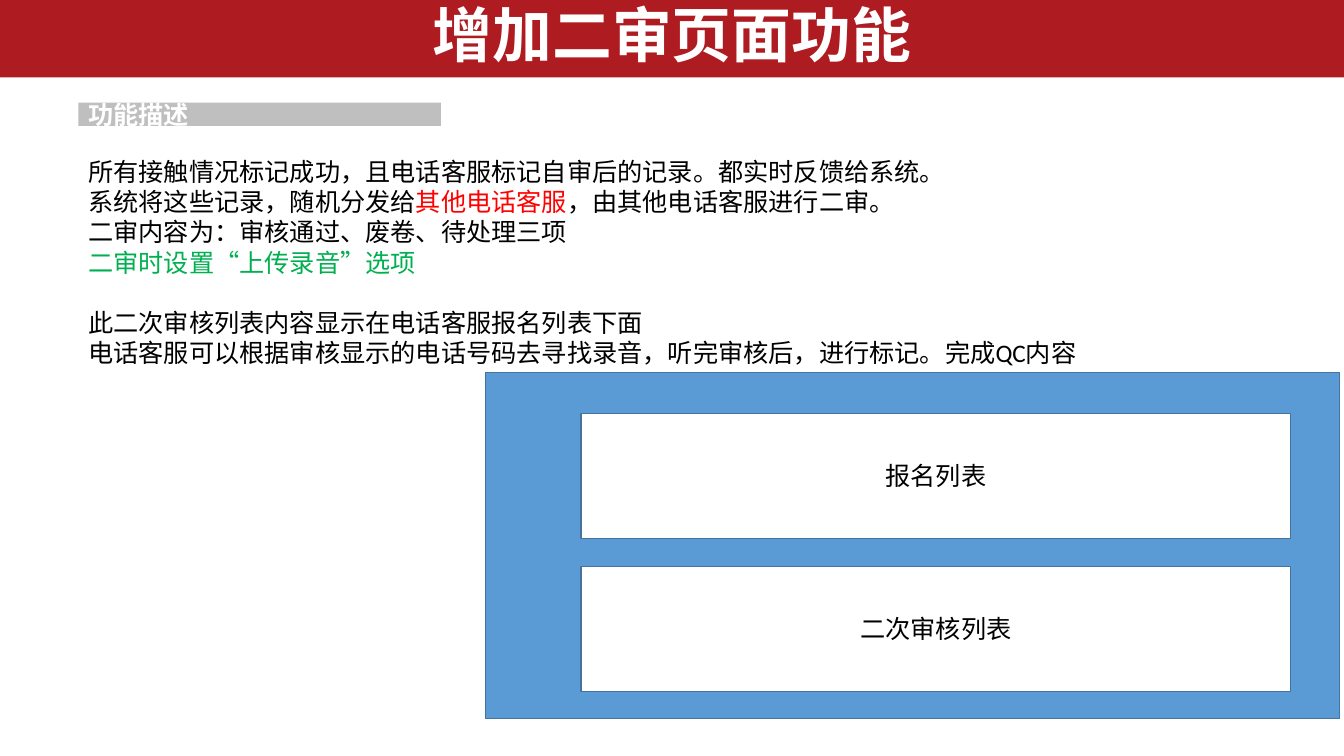
from dataclasses import dataclass

from pptx import Presentation
from pptx.dml.color import RGBColor
from pptx.enum.shapes import MSO_SHAPE
from pptx.enum.text import MSO_ANCHOR, MSO_AUTO_SIZE, PP_ALIGN
from pptx.util import Pt

RECTANGLE = MSO_SHAPE.RECTANGLE
MIDDLE = MSO_ANCHOR.MIDDLE
NO_FIT = MSO_AUTO_SIZE.NONE
LEFT, CENTER = PP_ALIGN.LEFT, PP_ALIGN.CENTER


@dataclass(frozen=True)
class Theme:
    banner: str = "AE1B21"
    label: str = "BFBFBF"
    panel: str = "5B9BD5"
    outline: str = "43739E"
    white: str = "FFFFFF"
    black: str = "000000"
    red: str = "FF0000"
    green: str = "00B050"
    heading_font: str = "Noto Sans CJK SC"
    body_font: str = "Calibri"
    title_size: float = 42.7
    body_size: float = 18
    section_gap: float = 21.6


THEME = Theme()
SLIDE_WIDTH, SLIDE_HEIGHT = 960, 540

DESCRIPTION = [
    [("所有接触情况标记成功，且电话客服标记自审后的记录。都实时反馈给系统。", THEME.black)],
    [("系统将这些记录，随机分发给", THEME.black),
     ("其他电话客服", THEME.red),
     ("，由其他电话客服进行二审。", THEME.black)],
    [("二审内容为：审核通过、废卷、待处理三项", THEME.black)],
    [("二审时设置“上传录音”选项", THEME.green)],
    [("此二次审核列表内容显示在电话客服报名列表下面", THEME.black)],
    [("电话客服可以根据审核显示的电话号码去寻找录音，听完审核后，进行标记。完成QC内容", THEME.black)],
]
SECOND_SECTION = 4


def format_run(run, color, size=THEME.body_size, font=THEME.body_font, bold=False):
    run.font.name = font
    run.font.size = Pt(size)
    run.font.bold = bold
    run.font.color.rgb = RGBColor.from_string(color)


def write_line(frame, text, align, color, **style):
    frame.text = text
    frame.vertical_anchor = MIDDLE
    frame.margin_top = frame.margin_bottom = 0
    line = frame.paragraphs[0]
    line.alignment = align
    format_run(line.runs[0], color, **style)


def add_block(slide, box, fill, outline=None):
    block = slide.shapes.add_shape(RECTANGLE, *map(Pt, box))
    block.shadow.inherit = False
    block.fill.solid()
    block.fill.fore_color.rgb = RGBColor.from_string(fill)
    if outline:
        block.line.color.rgb = RGBColor.from_string(outline)
        block.line.width = Pt(1)
    else:
        block.line.fill.background()
    return block


def build_banner(slide, box, text):
    left, top, width, height = box
    band = add_block(slide, box, THEME.banner)
    title = slide.shapes.title
    title.element.addprevious(band.element)
    title.left, title.top = Pt(left), Pt(top - 5)
    title.width, title.height = Pt(width), Pt(height + 3)
    title.text_frame.auto_size = NO_FIT
    write_line(title.text_frame, text, CENTER, THEME.white,
               size=THEME.title_size, font=THEME.heading_font, bold=True)


def build_label(slide, box, text):
    label = add_block(slide, box, THEME.label)
    write_line(label.text_frame, text, LEFT, THEME.white,
               font=THEME.heading_font, bold=True)


def build_description(slide, box, lines):
    frame = slide.shapes.add_textbox(*map(Pt, box)).text_frame
    frame.word_wrap = True
    for index, pieces in enumerate(lines):
        line = frame.paragraphs[0] if index == 0 else frame.add_paragraph()
        if index == SECOND_SECTION:
            line.space_before = Pt(THEME.section_gap)
        for text, color in pieces:
            run = line.add_run()
            run.text = text
            format_run(run, color)


def build_list_panel(slide, box, names):
    left, top, width, height = box
    add_block(slide, box, THEME.panel, THEME.outline)
    row_height, pitch = 89.3, 109.4
    for index, name in enumerate(names):
        row_box = (left + 68, top + 29 + index * pitch, width - 103, row_height)
        row = add_block(slide, row_box, THEME.white, THEME.outline)
        write_line(row.text_frame, name, CENTER, THEME.black)


def build_review_slide(deck, box):
    left, top, width, height = box
    slide = deck.slides.add_slide(deck.slide_layouts[5])
    build_banner(slide, (left, top - 0.7, width, 56), "增加二审页面功能")
    build_label(slide, (left + 56, top + 73.3, 259, 16.7), "功能描述")
    build_description(slide, (left + 56, top + 108, 727, 181.4), DESCRIPTION)
    build_list_panel(slide, (left + 347, top + 266.2, 610, 247.2),
                     ["报名列表", "二次审核列表"])


def main():
    deck = Presentation()
    deck.slide_width, deck.slide_height = Pt(SLIDE_WIDTH), Pt(SLIDE_HEIGHT)
    build_review_slide(deck, (0, 0, SLIDE_WIDTH, SLIDE_HEIGHT))
    deck.save("out.pptx")


if __name__ == "__main__":
    main()
